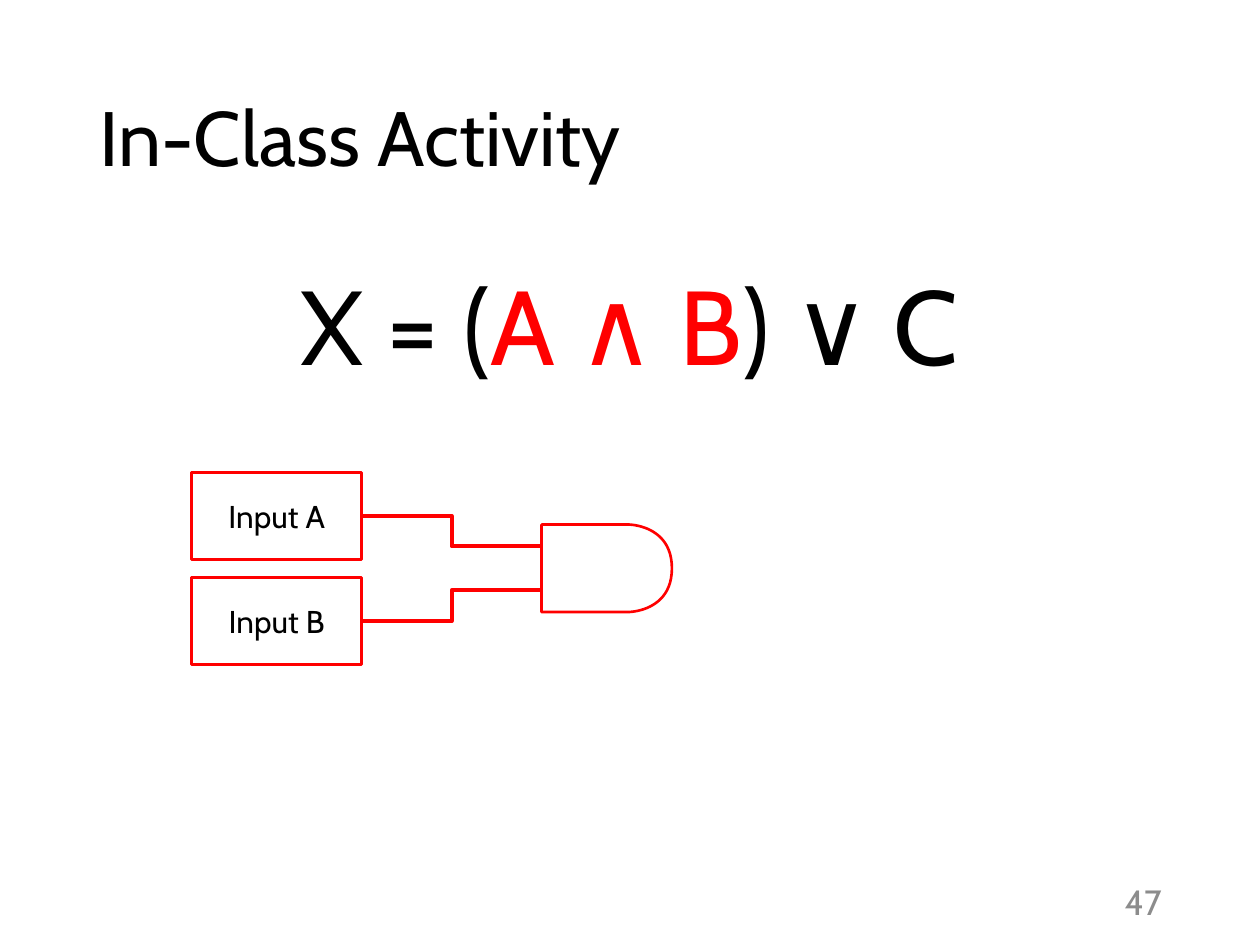
"""Build a slide that turns a logic formula into a gate diagram."""
from dataclasses import dataclass

from lxml import etree
from pptx import Presentation
from pptx import util as u
from pptx.dml.color import RGBColor
from pptx.enum import shapes, text
from pptx.oxml import ns

FONT = "Cabin"
BLACK, RED, WHITE, GREY = "000000", "FF0000", "FFFFFF", "8C8C8C"
CURVE_STEPS = 24


@dataclass(frozen=True)
class Area:
    left: float
    top: float
    width: float
    height: float

    @property
    def right(self) -> float:
        return self.left + self.width

    @property
    def bottom(self) -> float:
        return self.top + self.height

    @property
    def middle(self) -> float:
        return self.top + self.height / 2

    def lengths(self) -> list:
        return [u.Pt(side) for side in (self.left, self.top, self.width, self.height)]


@dataclass(frozen=True)
class Input:
    label: str
    area: Area
    gate_share: float


GATE = Area(309.5, 299.75, 74.5, 50)
INPUTS = [
    Input(f"Input {name}", Area(109.5, 270 + 60 * row, 97.2, 49.8), 0.25 + 0.5 * row)
    for row, name in enumerate("AB")
]


def paint(target, color: str) -> None:
    """Give a font or a solid fill its colour."""
    target.color.rgb = RGBColor.from_string(color)


def outline(shape, width: float) -> None:
    """Draw the red line of a diagram part."""
    paint(shape.line, RED)
    shape.line.width = u.Pt(width)


def write(frame, spans: list[tuple[str, str]], size: float, align,
          anchor=text.MSO_ANCHOR.MIDDLE) -> None:
    """Write one paragraph of coloured spans."""
    frame.word_wrap = True
    frame.vertical_anchor = anchor
    para = frame.paragraphs[0]
    para.alignment = align
    for words, color in spans:
        span = para.add_run()
        span.text = words
        span.font.name = FONT
        span.font.size = u.Pt(size)
        paint(span.font, color)


def add_text(page, area: Area, spans: list[tuple[str, str]], size: float, align,
             anchor=text.MSO_ANCHOR.MIDDLE) -> None:
    """Add a text box."""
    box = page.shapes.add_textbox(*area.lengths())
    write(box.text_frame, spans, size, align, anchor)


def add_input(page, item: Input) -> None:
    """Add a labelled input box."""
    box = page.shapes.add_shape(shapes.MSO_SHAPE.RECTANGLE, *item.area.lengths())
    box.shadow.inherit = False
    box.fill.solid()
    box.fill.fore_color.rgb = RGBColor.from_string(WHITE)
    outline(box, 1.5)
    write(box.text_frame, [(item.label, BLACK)], 18, text.PP_ALIGN.CENTER)


def add_gate(page, area: Area) -> None:
    """Add an AND gate with a flat back and a round front."""
    radius = area.height / 2
    steps = [step / CURVE_STEPS for step in range(CURVE_STEPS + 1)]
    upper = [
        (area.right - radius + radius * (3 * t**2 - 2 * t**3), area.top + radius * t**3)
        for t in steps
    ]
    lower = [(x, 2 * area.middle - y) for x, y in reversed(upper[:-1])]
    points = [(u.Pt(x), u.Pt(y)) for x, y in [*upper, *lower, (area.left, area.bottom)]]
    builder = page.shapes.build_freeform(u.Pt(area.left), u.Pt(area.top))
    builder.add_line_segments(points, close=True)
    gate = builder.convert_to_shape()
    gate.shadow.inherit = False
    gate.fill.background()
    outline(gate, 1.5)


def add_wire(page, item: Input, gate: Area) -> None:
    """Join an input box to the back of the gate."""
    ends = (item.area.right, item.area.middle,
            gate.left, gate.top + gate.height * item.gate_share)
    wire = page.shapes.add_connector(
        shapes.MSO_CONNECTOR.ELBOW, *[u.Pt(place) for place in ends])
    outline(wire, 2.25)
    etree.SubElement(wire.element.spPr, ns.qn("a:effectLst"))


def add_title(page, words: str, area: Area) -> None:
    """Place and format the title."""
    title = page.shapes.title
    title.left, title.top, title.width, title.height = area.lengths()
    write(title.text_frame, [(words, BLACK)], 44, text.PP_ALIGN.LEFT)
    title.text_frame.paragraphs[0].line_spacing = 0.9


def main() -> None:
    """Build and save the deck."""
    deck = Presentation()
    deck.slide_width, deck.slide_height = u.Pt(720), u.Pt(540)
    page = deck.slides.add_slide(deck.slide_layouts.get_by_name("Title Only"))
    add_title(page, "In-Class Activity", Area(49.5, 28.75, 621, 104.4))
    add_text(page, Area(622.8, 500.5, 48.2, 28.8), [("47", GREY)], 20,
             text.PP_ALIGN.RIGHT)
    formula = [("X = (", BLACK), ("A ∧ B", RED), (") ∨ C", BLACK)]
    add_text(page, Area(141.1, 145.5, 437, 80), formula, 60,
             text.PP_ALIGN.CENTER, text.MSO_ANCHOR.TOP)
    for item in INPUTS:
        add_input(page, item)
    add_gate(page, GATE)
    for item in INPUTS:
        add_wire(page, item, GATE)
    deck.save("out.pptx")


if __name__ == "__main__":
    main()
